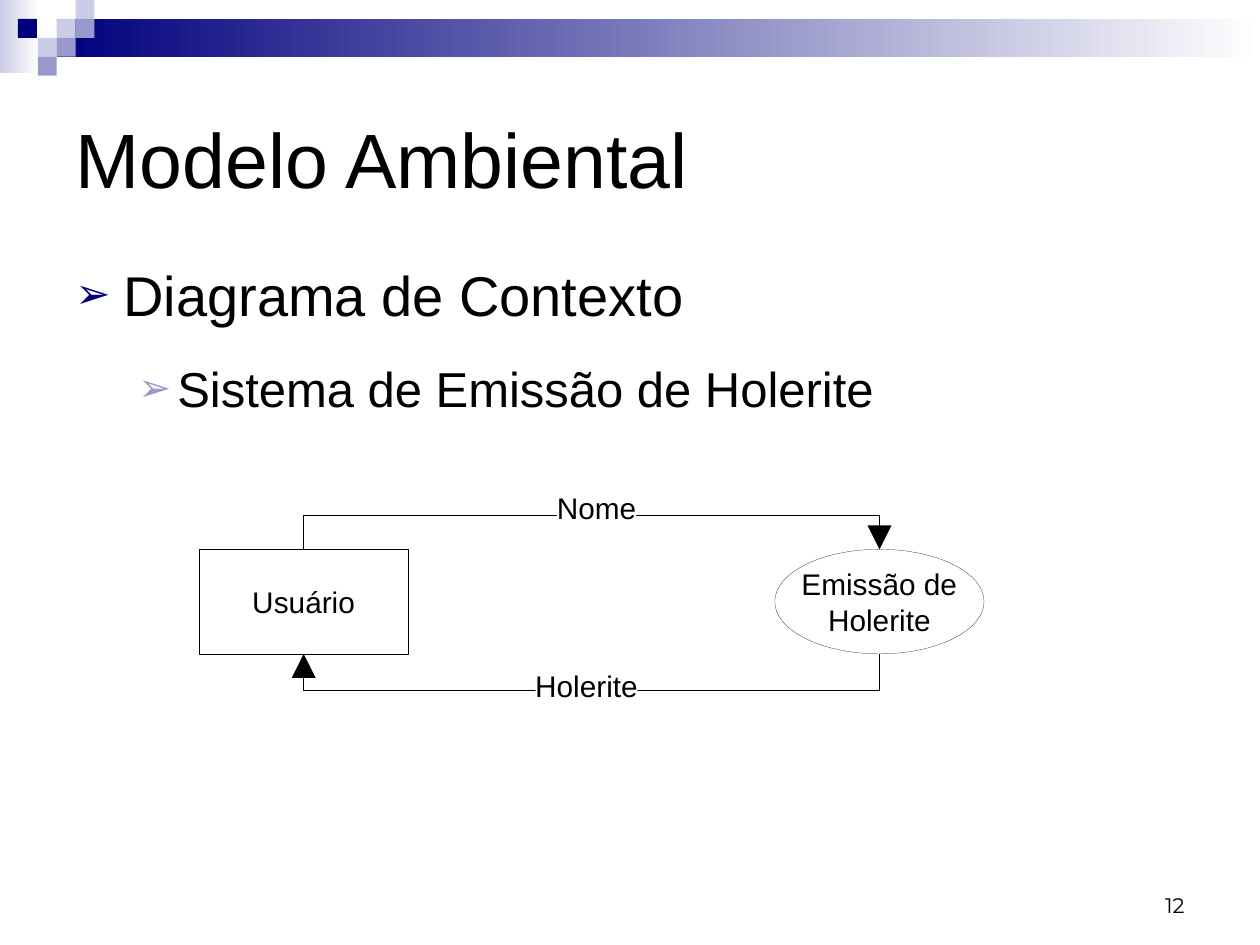
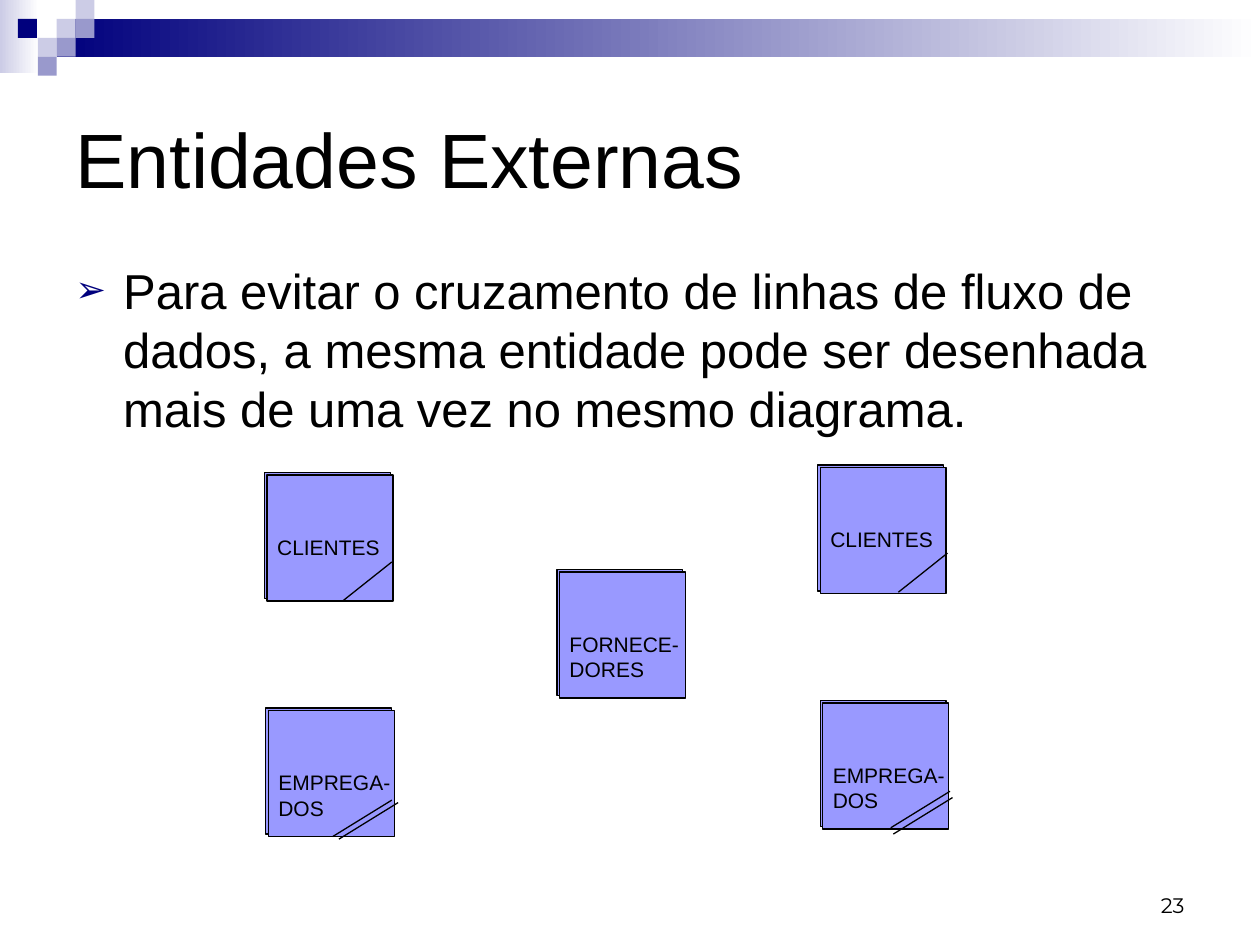
from dataclasses import dataclass

from lxml.etree import SubElement
from pptx import Presentation
from pptx.dml.color import RGBColor
from pptx.enum.shapes import MSO_CONNECTOR, MSO_SHAPE
from pptx.enum.text import MSO_ANCHOR, PP_ALIGN
from pptx.oxml.ns import qn
from pptx.presentation import Presentation as Deck
from pptx.shapes.autoshape import Shape
from pptx.slide import Slide
from pptx.util import Inches, Pt


@dataclass(frozen=True)
class Theme:
    # Colours
    black: str = "000000"
    white: str = "FFFFFF"
    navy: str = "00007D"
    lilac: str = "9999CC"
    pale: str = "CCCCE6"
    entity: str = "9999FF"
    # Fonts and type sizes
    font: str = "Arial"
    number_font: str = "Montserrat"
    title: int = 44
    body: int = 32
    sub: int = 28
    diagram: int = 17
    small: int = 12
    # Line widths
    hairline: float = 0.1
    thin: float = 0.75


T = Theme()


@dataclass(frozen=True)
class Box:
    x: float
    y: float
    w: float
    h: float


@dataclass(frozen=True)
class Bullet:
    text: str
    size: int
    level: int = 0


@dataclass(frozen=True)
class BulletStyle:
    left: float
    hang: float
    color: str
    percent: int


@dataclass(frozen=True)
class Flow:
    label: str
    label_box: Box
    points: tuple[tuple[float, float], ...]
    head: Box
    rotation: int


@dataclass(frozen=True)
class Entity:
    x: float
    y: float
    text: str


BULLET_STYLES = (BulletStyle(0.38, 0.38, T.navy, 75), BulletStyle(0.81, 0.31, T.lilac, 80))


def rgb(color: str) -> RGBColor:
    return RGBColor.from_string(color)


def write(sp: Shape, text: str, *, size: float, font: str = T.font, color: str = T.black,
          align: PP_ALIGN = PP_ALIGN.LEFT, anchor: MSO_ANCHOR = MSO_ANCHOR.TOP,
          wrap: bool = True, insets: tuple = (0.1, 0.05, 0.1, 0.05)) -> None:
    """Fill a shape with text, one paragraph a line."""
    tf = sp.text_frame
    tf.word_wrap = wrap
    tf.vertical_anchor = anchor
    tf.margin_left, tf.margin_top, tf.margin_right, tf.margin_bottom = map(Inches, insets)
    for i, line in enumerate(text.split("\n")):
        p = tf.add_paragraph() if i else tf.paragraphs[0]
        p.alignment = align
        r = p.add_run()
        r.text = line
        r.font.size, r.font.name = Pt(size), font
        r.font.color.rgb = rgb(color)


def finish(sp: Shape, fill: str | None = None, line: float | None = None) -> Shape:
    """Set fill and outline, and take the shadow away."""
    sp.shadow.inherit = False
    if fill:
        sp.fill.solid()
        sp.fill.fore_color.rgb = rgb(fill)
    else:
        sp.fill.background()
    if line is None:
        sp.line.fill.background()
    else:
        sp.line.color.rgb = rgb(T.black)
        sp.line.width = Pt(line)
    return sp


def add_shape(s: Slide, box: Box, *, kind: MSO_SHAPE = MSO_SHAPE.RECTANGLE,
              fill: str | None = None, line: float | None = None) -> Shape:
    sp = s.shapes.add_shape(kind, *map(Inches, (box.x, box.y, box.w, box.h)))
    return finish(sp, fill, line)


def add_textbox(s: Slide, box: Box) -> Shape:
    return s.shapes.add_textbox(*map(Inches, (box.x, box.y, box.w, box.h)))


def add_line(s: Slide, x1: float, y1: float, x2: float, y2: float) -> None:
    c = s.shapes.add_connector(MSO_CONNECTOR.STRAIGHT, *map(Inches, (x1, y1, x2, y2)))
    c.line.color.rgb = rgb(T.black)
    c.line.width = Pt(T.thin)
    SubElement(c._element.spPr, qn("a:effectLst"))


def add_band(s: Slide) -> None:
    """Header band: two gradients under a mosaic of small squares."""
    for box, color in ((Box(0, 0, 0.31, 0.58), T.pale), (Box(0.45, 0.15, 9.55, 0.3), T.navy)):
        sp = add_shape(s, box)
        sp.fill.gradient()
        sp.fill.gradient_angle = 0
        for stop, c, pos in zip(sp.fill.gradient_stops, (color, T.white), (0, 1)):
            stop.color.rgb, stop.position = rgb(c), pos
    side = 0.15
    mosaic = ((3, 1, T.pale), (4, 0, T.pale), (4, 1, T.lilac), (2, 2, T.pale),
              (0.95, 1, T.navy), (3, 2, T.lilac), (2, 3, T.lilac))
    for col, row, color in mosaic:
        add_shape(s, Box(col * side, row * side, side, side), fill=color)


def add_bullets(s: Slide, bullets: tuple[Bullet, ...]) -> None:
    sp = add_textbox(s, Box(0.5, 2.02, 9, 5.04))
    tf = sp.text_frame
    tf.word_wrap = True
    for i, b in enumerate(bullets):
        p = tf.add_paragraph() if i else tf.paragraphs[0]
        p.level = b.level
        p.space_before, p.space_after = Pt(0.2 * b.size), Pt(12)
        r = p.add_run()
        r.text = b.text
        r.font.size, r.font.name = Pt(b.size), T.font
        r.font.color.rgb = rgb(T.black)
        # Bullet sign and hanging indent
        style = BULLET_STYLES[b.level]
        pPr = p._p.get_or_add_pPr()
        pPr.set("marL", str(Inches(style.left)))
        pPr.set("indent", str(-Inches(style.hang)))
        SubElement(SubElement(pPr, qn("a:buClr")), qn("a:srgbClr"), val=style.color)
        SubElement(pPr, qn("a:buSzPct"), val=str(style.percent * 1000))
        SubElement(pPr, qn("a:buFont"), typeface=T.font)
        SubElement(pPr, qn("a:buChar"), char="➢")


def add_slide(prs: Deck, title: str, number: int, bullets: tuple[Bullet, ...]) -> Slide:
    """Slide with band, title, bullets and page number."""
    s = prs.slides.add_slide(prs.slide_layouts[5])
    add_band(s)
    sp = s.shapes.title
    sp.left, sp.top, sp.width, sp.height = map(Inches, (0.5, 0.5, 9, 1.5))
    write(sp, title, size=T.title, anchor=MSO_ANCHOR.MIDDLE)
    add_bullets(s, bullets)
    write(add_textbox(s, Box(7.17, 6.83, 2.33, 0.5)), str(number), size=T.small,
          font=T.number_font, align=PP_ALIGN.RIGHT, anchor=MSO_ANCHOR.BOTTOM)
    return s


def write_centred(sp: Shape, text: str) -> None:
    write(sp, text, size=T.diagram, align=PP_ALIGN.CENTER, anchor=MSO_ANCHOR.MIDDLE,
          wrap=False, insets=(0, 0, 0, 0))


def add_flow(s: Slide, flow: Flow) -> None:
    """Bent line with an arrowhead and a label that interrupts it."""
    points = [(Inches(x), Inches(y)) for x, y in flow.points]
    builder = s.shapes.build_freeform(*points[0])
    builder.add_line_segments(points[1:], close=False)
    finish(builder.convert_to_shape(), line=T.hairline)
    head = add_shape(s, flow.head, kind=MSO_SHAPE.ISOSCELES_TRIANGLE, fill=T.black)
    head.rotation = flow.rotation
    write_centred(add_shape(s, flow.label_box, fill=T.white), flow.label)


def add_entity(s: Slide, e: Entity) -> None:
    """Two stacked squares, the front one with the name."""
    for shift in (0, 0.02):
        sp = add_shape(s, Box(e.x + shift, e.y + shift, 1, 1), fill=T.entity, line=T.thin)
    write(sp, e.text, size=T.small, wrap=False, insets=(0.08, 0.47, 0, 0))


def context_slide(prs: Deck) -> None:
    s = add_slide(prs, "Modelo Ambiental", 12, (
        Bullet("Diagrama de Contexto", T.body),
        Bullet("Sistema de Emissão de Holerite", T.sub, level=1)))
    # User and process
    top, w, h = 4.36, 1.66, 0.83
    for x, kind, text in ((1.58, MSO_SHAPE.RECTANGLE, "Usuário"),
                          (6.15, MSO_SHAPE.OVAL, "Emissão de\nHolerite")):
        sp = add_shape(s, Box(x, top, w, h), kind=kind, fill=T.white, line=T.hairline)
        write_centred(sp, text)
    # Data flows between them
    user, process, bottom, head = 2.41, 6.98, top + h, 0.19
    add_flow(s, Flow("Nome", Box(4.42, 3.89, 0.63, 0.28),
                     ((user, top), (user, 4.09), (process, 4.09), (process, 4.19)),
                     Box(process - head / 2, top - head, head, head), 180))
    add_flow(s, Flow("Holerite", Box(4.25, 5.3, 0.81, 0.28),
                     ((process, bottom), (process, 5.48), (user, 5.48), (user, 5.36)),
                     Box(user - head / 2, bottom, head, head), 0))


def entities_slide(prs: Deck) -> None:
    s = add_slide(prs, "Entidades Externas", 23, (
        Bullet("Para evitar o cruzamento de linhas de fluxo de dados, a mesma entidade "
               "pode ser desenhada mais de uma vez no mesmo diagrama.", T.sub),))
    for e in (Entity(2.1, 3.75, "CLIENTES"), Entity(6.49, 3.69, "CLIENTES"),
              Entity(4.42, 4.52, "FORNECE-\nDORES"),
              Entity(2.11, 5.62, "EMPREGA-\nDOS"), Entity(6.51, 5.56, "EMPREGA-\nDOS")):
        add_entity(s, e)
    # Corner strokes mark the repeated entities: run, rise, starting points
    strokes = ((0.39, 0.31, ((2.72, 4.77), (7.13, 4.7))),
               (0.47, 0.29, ((2.64, 6.64), (7.07, 6.57), (2.69, 6.66), (7.09, 6.62))))
    for run, rise, starts in strokes:
        for x, y in starts:
            add_line(s, x, y, x + run, y - rise)


prs = Presentation()
prs.slide_width, prs.slide_height = Inches(10), Inches(7.5)
context_slide(prs)
entities_slide(prs)
prs.save("out.pptx")
